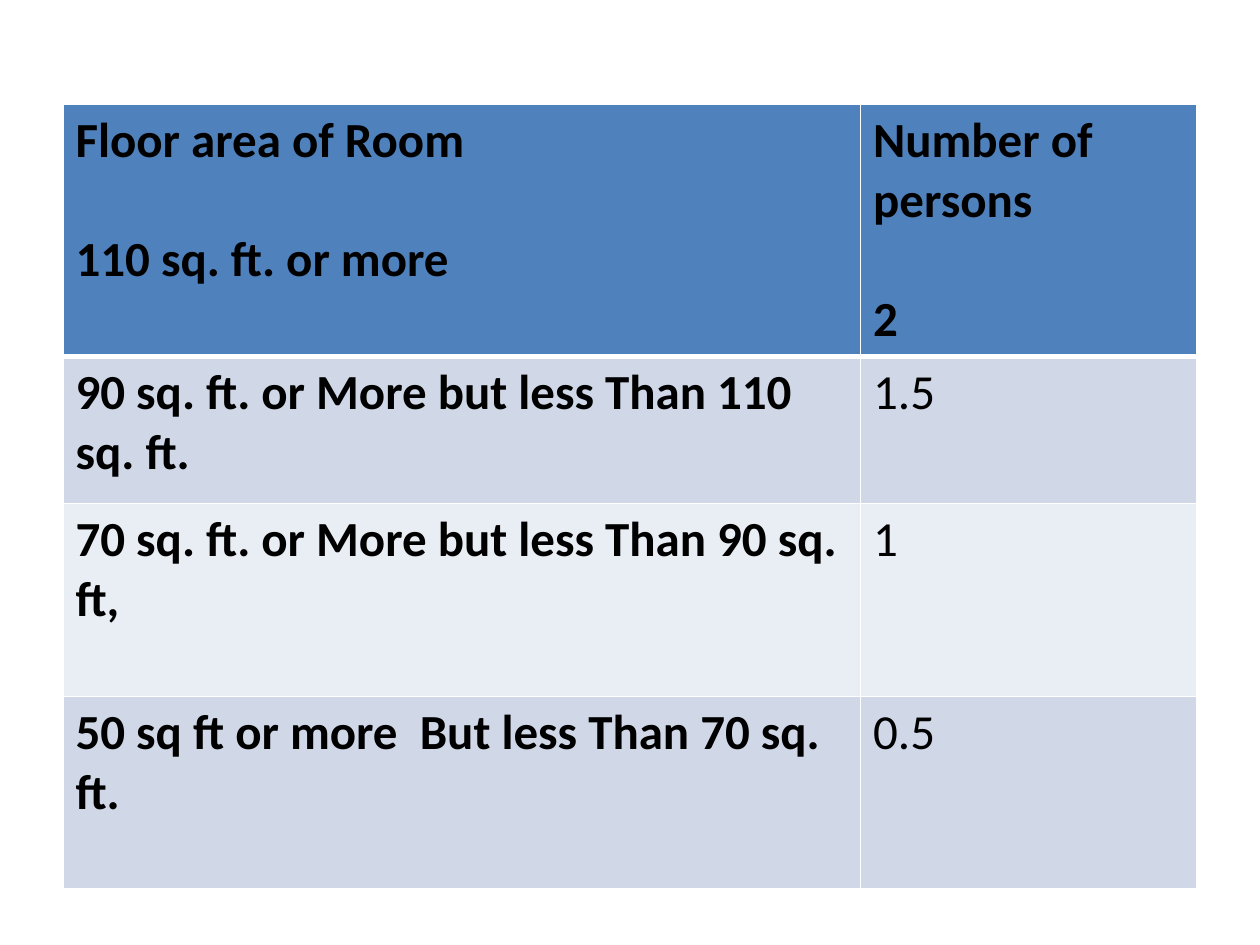
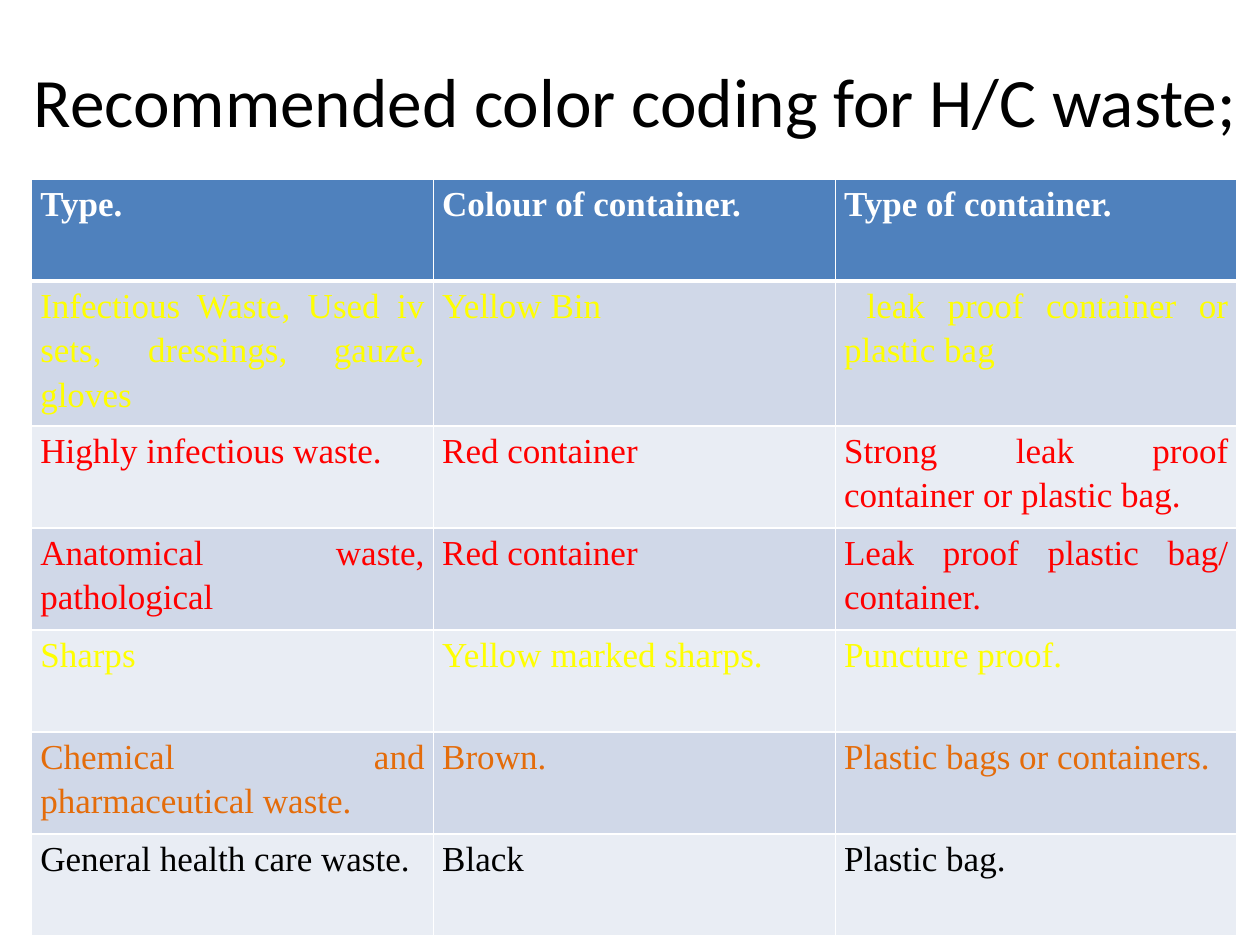
from lxml import etree
from pptx import Presentation
from pptx import util as u
from pptx.dml.color import RGBColor
from pptx.enum import text
from pptx.oxml import ns

BLACK, WHITE = "000000", "FFFFFF"
HEADER, BANDS = "4F81BD", ("D0D8E8", "E9EDF4")
YELLOW, RED, ORANGE = "FFFF00", "FF0000", "E46C0A"
THIN, THICK = 1, 3


def color(value):
    return RGBColor.from_string(value)


class Builder:
    """Holds the shared style and the current slide."""

    def __init__(self):
        self.deck = Presentation()
        self.deck.slide_width = u.Inches(10)
        self.deck.slide_height = u.Inches(7.5)
        self.page = None

    def new_page(self):
        self.page = self.deck.slides.add_slide(self.deck.slide_layouts[6])

    def style(self, para, font, size, fill, bold=False):
        para.font.name = font
        para.font.size = u.Pt(size)
        para.font.bold = bold
        para.font.color.rgb = color(fill)

    def title(self, words, left, top, width, height):
        box = self.page.shapes.add_textbox(*map(u.Inches, (left, top, width, height)))
        frame = box.text_frame
        frame.word_wrap = True
        frame.vertical_anchor = text.MSO_ANCHOR.MIDDLE
        frame.text = words
        self.style(frame.paragraphs[0], "Calibri", 39.6, BLACK)

    def table(self, left, top, columns, heights):
        """Add a table with a header fill, banded rows and white rules."""
        frame = self.page.shapes.add_table(
            len(heights), len(columns), u.Inches(left), u.Inches(top),
            u.Inches(sum(columns)), u.Inches(sum(heights)))
        grid = frame.table
        grid.horz_banding = False
        for column, width in zip(grid.columns, columns):
            column.width = u.Inches(width)
        for index, (row, height) in enumerate(zip(grid.rows, heights)):
            row.height = u.Inches(height)
            for cell in row.cells:
                cell.fill.solid()
                cell.fill.fore_color.rgb = color(BANDS[(index - 1) % 2] if index else HEADER)
                self.borders(cell, top=THICK if index == 1 else THIN,
                             bottom=THIN if index else THICK)
        return grid

    def borders(self, cell, top, bottom):
        props = cell._tc.get_or_add_tcPr()
        sides = {"lnL": THIN, "lnR": THIN, "lnT": top, "lnB": bottom}
        for place, (side, weight) in enumerate(sides.items()):
            line = etree.Element(ns.qn(f"a:{side}"), w=str(u.Pt(weight)))
            fill = etree.SubElement(line, ns.qn("a:solidFill"))
            etree.SubElement(fill, ns.qn("a:srgbClr"), val=WHITE)
            props.insert(place, line)


def room_page(builder):
    """Persons allowed by floor area."""
    rows = [
        ("Floor area of Room\n110 sq. ft. or more", "Number of persons\n2"),
        ("90 sq. ft. or More but less Than 110 sq. ft.", "1.5"),
        ("70 sq. ft. or More but less Than 90 sq. ft,", "1"),
        ("50 sq ft or more  But less Than 70 sq. ft.", "0.5"),
    ]
    builder.new_page()
    grid = builder.table(0.5, 0.83, [6.33, 2.67], [1.99, 1.17, 1.53, 1.53])
    for r, row in enumerate(rows):
        for c, words in enumerate(row):
            frame = grid.cell(r, c).text_frame
            frame.text = words
            for index, para in enumerate(frame.paragraphs):
                if index:
                    para.space_before = u.Pt(34)
                builder.style(para, "Calibri", 28, BLACK, bold=r == 0 or c == 0)


def waste_page(builder):
    """Container colour for each kind of waste."""
    rows = [
        (WHITE, "Type.", "Colour of container.", "Type of container."),
        (YELLOW, "Infectious Waste, Used iv sets, dressings, gauze, gloves",
         "Yellow Bin", " leak proof container or plastic bag"),
        (RED, "Highly infectious waste.", "Red container",
         "Strong leak proof container or plastic bag."),
        (RED, "Anatomical waste, pathological", "Red container",
         "Leak proof plastic bag/ container."),
        (YELLOW, "Sharps", "Yellow marked sharps.", "Puncture proof."),
        (ORANGE, "Chemical and pharmaceutical waste.", "Brown.",
         "Plastic bags or containers."),
        (BLACK, "General health care waste.", "Black", "Plastic bag."),
    ]
    builder.new_page()
    builder.title("Recommended color coding for H/C waste;", 0.17, 0.17, 9.83, 1.25)
    grid = builder.table(0.25, 1.42, [3.19] * 3, [0.81, 1.07] + [0.81] * 5)
    for r, (ink, *row) in enumerate(rows):
        for c, words in enumerate(row):
            cell = grid.cell(r, c)
            cell.margin_left = cell.margin_right = u.Inches(0.07)
            cell.margin_top = cell.margin_bottom = 0
            cell.text_frame.text = words
            para = cell.text_frame.paragraphs[0]
            para.alignment = text.PP_ALIGN.JUSTIFY
            para.line_spacing = 1.15
            para.space_after = u.Pt(10)
            builder.style(para, "Times New Roman", 20, ink, bold=r == 0)


def main():
    builder = Builder()
    room_page(builder)
    waste_page(builder)
    builder.deck.save("out.pptx")


if __name__ == "__main__":
    main()
